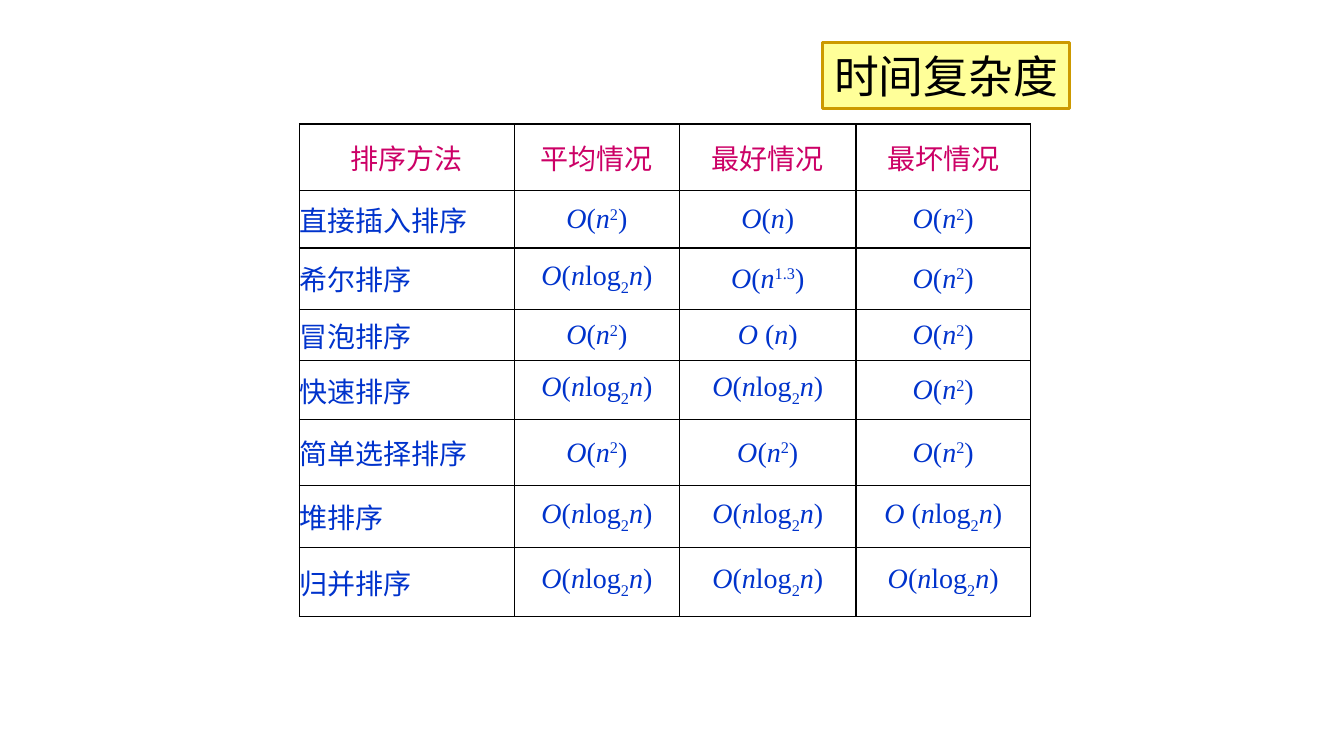
"""Build a slide comparing the time complexity of sorting methods."""
from lxml import etree
from pptx import Presentation, util as u
from pptx.dml.color import RGBColor
from pptx.enum import shapes, text
from pptx.oxml.ns import qn

TITLE = "时间复杂度"
HEADERS = ["排序方法", "平均情况", "最好情况", "最坏情况"]
LINEAR = "O|(|n|)"
SQUARE = "O|(|n|^2|)"
POWER = "O|(|n|^1.3|)"
LOG = "O|(|n|log|_2|n|)"
METHODS = [
    ("直接插入排序", SQUARE, LINEAR, SQUARE),
    ("希尔排序", LOG, POWER, SQUARE),
    ("冒泡排序", SQUARE, "O |(|n|)", SQUARE),
    ("快速排序", LOG, LOG, SQUARE),
    ("简单选择排序", SQUARE, SQUARE, SQUARE),
    ("堆排序", LOG, LOG, "O |(|n|log|_2|n|)"),
    ("归并排序", LOG, LOG, LOG),
]
COLUMNS = [2.13, 1.64, 1.75, 1.73]
ROWS = [0.66, 0.57, 0.61, 0.51, 0.58, 0.66, 0.61, 0.69]
TABLE_AT = (2.97, 1.23)
TITLE_AT = (8.16, 0.42, 2.45, 0.66)
BASELINES = {"^": "30000", "_": "-30000"}
CELL_FORMAT = {"margin_left": 0, "margin_right": 0, "margin_top": 0,
               "margin_bottom": 0, "vertical_anchor": text.MSO_ANCHOR.MIDDLE}


def color(value):
    return RGBColor.from_string(value)


def paint(target, value):
    target.fill.solid()
    target.fill.fore_color.rgb = color(value)


def write(para, content, size, font, tint, align):
    para.alignment = align
    for piece in content.split("|"):
        span = para.add_run()
        span.text = piece.lstrip("^_")
        values = {"size": u.Pt(size), "name": font,
                  "italic": piece.strip() in ("O", "n")}
        for name, value in values.items():
            setattr(span.font, name, value)
        span.font.color.rgb = color(tint)
        if piece[0] in BASELINES:
            span._r.get_or_add_rPr().set("baseline", BASELINES[piece[0]])


def add_borders(cell):
    properties = cell._tc.get_or_add_tcPr()
    for side in ("lnL", "lnR", "lnT", "lnB"):
        line = etree.SubElement(properties, qn(f"a:{side}"), w=str(u.Pt(1)))
        fill = etree.SubElement(line, qn("a:solidFill"))
        etree.SubElement(fill, qn("a:srgbClr"), val="000000")


def add_table(page):
    size = (sum(COLUMNS), sum(ROWS))
    box = [u.Inches(length) for length in TABLE_AT + size]
    table = page.shapes.add_table(len(ROWS), len(COLUMNS), *box).table
    table.first_row = table.horz_banding = False
    for column, width in zip(table.columns, COLUMNS):
        column.width = u.Inches(width)
    for row, height in zip(table.rows, ROWS):
        row.height = u.Inches(height)
    for r, contents in enumerate([HEADERS] + METHODS):
        for c, content in enumerate(contents):
            cell = table.cell(r, c)
            for name, value in CELL_FORMAT.items():
                setattr(cell, name, value)
            add_borders(cell)
            paint(cell, "FFFFFF")
            is_name = r > 0 and c == 0
            write(cell.text_frame.paragraphs[0], content, 20, "Times New Roman",
                  "0033CC" if r else "CC0066",
                  text.PP_ALIGN.JUSTIFY if is_name else text.PP_ALIGN.CENTER)


def add_title(page):
    box = page.shapes.add_shape(shapes.MSO_SHAPE.RECTANGLE,
                                *[u.Inches(length) for length in TITLE_AT])
    box.shadow.inherit = False
    paint(box, "FFFF99")
    box.line.color.rgb = color("CC9900")
    box.line.width = u.Pt(2)
    frame = box.text_frame
    frame.word_wrap = False
    frame.auto_size = text.MSO_AUTO_SIZE.SHAPE_TO_FIT_TEXT
    write(frame.paragraphs[0], TITLE, 32, "Arial", "000000", text.PP_ALIGN.CENTER)


def main():
    deck = Presentation()
    deck.slide_width, deck.slide_height = u.Inches(13.33), u.Inches(7.5)
    page = deck.slides.add_slide(deck.slide_layouts[6])
    add_table(page)
    add_title(page)
    deck.save("out.pptx")


if __name__ == "__main__":
    main()
